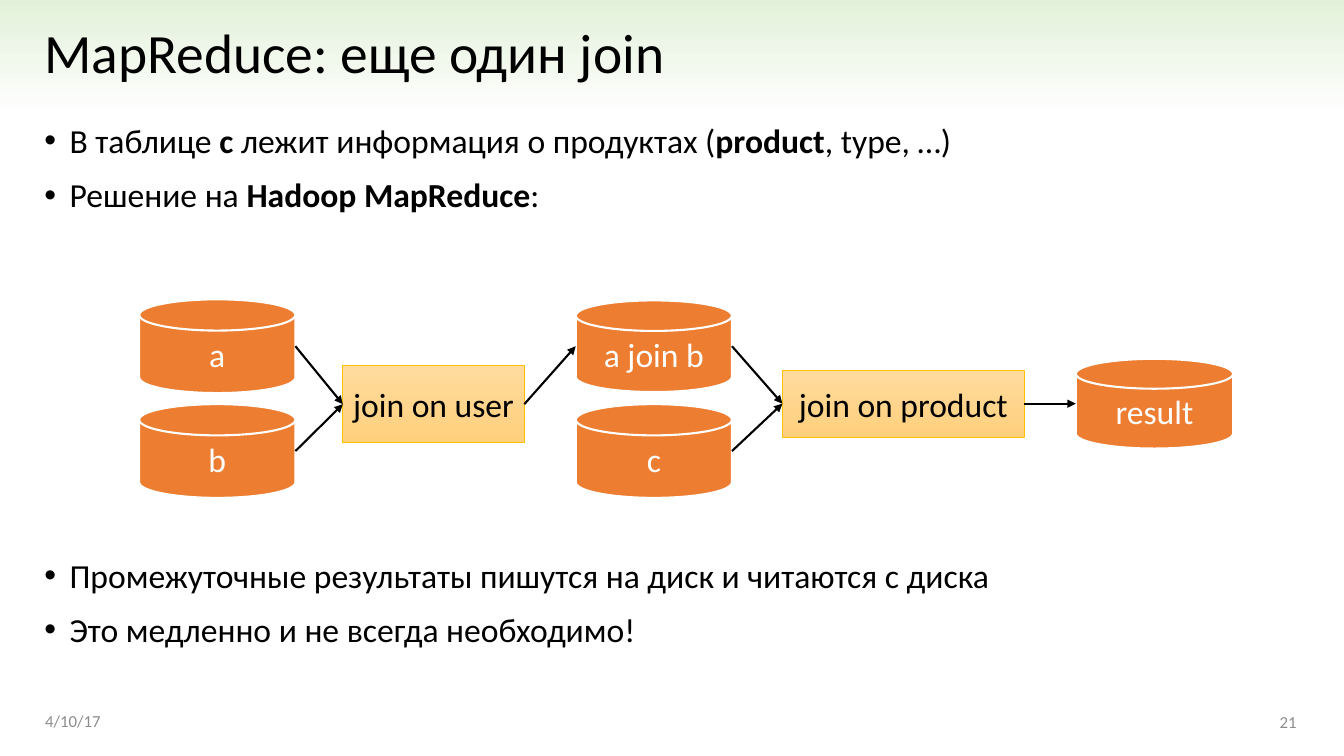
from lxml import etree
from pptx import Presentation
from pptx import util as u
from pptx.dml.color import RGBColor
from pptx.enum import shapes, text
from pptx.oxml import ns

Inches, Pt = u.Inches, u.Pt
color = RGBColor.from_string


def style_shape(shape, stops, line_color=None, line_width=0):
    """Fill with one colour or a downward two-colour gradient; outline if a colour is given."""
    shape.shadow.inherit = False
    if len(stops) == 1:
        shape.fill.solid()
        shape.fill.fore_color.rgb = color(stops[0])
    else:
        shape.fill.gradient()
        shape.fill.gradient_angle = 270
        for stop, value in zip(shape.fill.gradient_stops, stops):
            stop.color.rgb = color(value)
    if line_color:
        shape.line.color.rgb = color(line_color)
        shape.line.width = Pt(line_width)
    else:
        shape.line.fill.background()


def set_font(paragraph, size, value, alignment):
    paragraph.alignment = alignment
    paragraph.font.name = "Calibri"
    paragraph.font.size = Pt(size)
    paragraph.font.color.rgb = color(value)


LEFT, CENTER, RIGHT = text.PP_ALIGN.LEFT, text.PP_ALIGN.CENTER, text.PP_ALIGN.RIGHT
presentation = Presentation()
presentation.slide_width, presentation.slide_height = Inches(13.33), Inches(7.5)
slide = presentation.slides.add_slide(presentation.slide_layouts[1])
title, body = slide.shapes.title, slide.placeholders[1]

# Header band, behind the title
header = slide.shapes.add_shape(shapes.MSO_SHAPE.RECTANGLE, 0, 0, Inches(13.33), Inches(1.14))
style_shape(header, ["E2F0D9", "FFFFFF"])
title.element.addprevious(header.element)

# Title and bullets
for placeholder, top, height in [(title, 0.19, 0.72), (body, 1.14, 5.63)]:
    placeholder.left, placeholder.top = Inches(0.34), Inches(top)
    placeholder.width, placeholder.height = Inches(12.61), Inches(height)
    placeholder.text_frame.auto_size = text.MSO_AUTO_SIZE.NONE

title.text_frame.text = "MapReduce: еще один join"
title.text_frame.vertical_anchor = text.MSO_ANCHOR.MIDDLE
title_paragraph = title.text_frame.paragraphs[0]
title_paragraph.line_spacing = 0.9
set_font(title_paragraph, 39.6, "000000", LEFT)

# Space before each bullet, then its runs, alternating regular and bold
bullets = [
    (0, ["В таблице ", "c ", "лежит информация о продуктах (", "product", ", type, …)"]),
    (10, ["Решение на ", "Hadoop MapReduce", ":"]),
    (243, ["Промежуточные результаты пишутся на диск и читаются с диска"]),
    (10, ["Это медленно и не всегда необходимо!"]),
]
for number, (space, runs) in enumerate(bullets):
    paragraph = body.text_frame.paragraphs[0] if number == 0 else body.text_frame.add_paragraph()
    properties = paragraph._p.get_or_add_pPr()
    properties.set("marL", str(Inches(0.25)))
    properties.set("indent", str(-Inches(0.25)))
    etree.SubElement(properties, ns.qn("a:buChar")).set("char", "•")
    paragraph.space_before = Pt(space)
    set_font(paragraph, 24, "000000", LEFT)
    for position, words in enumerate(runs):
        run = paragraph.add_run()
        run.text = words
        if position % 2:
            run.font.bold = True

# Data flow: tables and joins
DISK, BOX = shapes.MSO_SHAPE.FLOWCHART_MAGNETIC_DISK, shapes.MSO_SHAPE.RECTANGLE
nodes = [
    ("a", DISK, 1.38, 2.97, 1.55, 0.93),
    ("b", DISK, 1.38, 4.01, 1.55, 0.93),
    ("join on user", BOX, 3.4, 3.63, 1.8, 0.76),
    ("a join b", DISK, 5.71, 2.98, 1.55, 0.91),
    ("c", DISK, 5.71, 4.01, 1.55, 0.93),
    ("join on product", BOX, 7.76, 3.67, 2.4, 0.67),
    ("result", DISK, 10.67, 3.56, 1.56, 0.89),
]
flow = {}
for label, kind, *bounds in nodes:
    node = slide.shapes.add_shape(kind, *map(Inches, bounds))
    if kind == DISK:
        style_shape(node, ["ED7D31"], "FFFFFF", 1.5)
    else:
        style_shape(node, ["FFDB9E", "FFD07C"], "FFC000", 0.5)
    node.text_frame.text = label
    node.text_frame.word_wrap = False
    node.text_frame.vertical_anchor = text.MSO_ANCHOR.MIDDLE
    set_font(node.text_frame.paragraphs[0], 24, "FFFFFF" if kind == DISK else "000000", CENTER)
    flow[label] = node

arrows = [
    ("a", "join on user"), ("b", "join on user"), ("join on user", "a join b"),
    ("a join b", "join on product"), ("c", "join on product"), ("join on product", "result"),
]
for source, target in arrows:
    start, end = flow[source], flow[target]
    arrow = slide.shapes.add_connector(
        shapes.MSO_CONNECTOR.STRAIGHT,
        start.left + start.width, start.top + start.height // 2,
        end.left, end.top + end.height // 2)
    if start.auto_shape_type == BOX:
        arrow.begin_connect(start, 3)
    if end.auto_shape_type == BOX:
        arrow.end_connect(end, 1)
    arrow.line.color.rgb = color("000000")
    arrow.line.width = Pt(1.5)
    etree.SubElement(arrow.line._get_or_add_ln(), ns.qn("a:tailEnd")).set("type", "triangle")
    etree.SubElement(arrow._element.spPr, ns.qn("a:effectLst"))

# Footer
for label, left, top, alignment in [("4/10/17", 0.35, 6.95, LEFT), ("21", 9.96, 6.96, RIGHT)]:
    footer = slide.shapes.add_textbox(Inches(left), Inches(top), Inches(3), Inches(0.4))
    footer.text_frame.text = label
    footer.text_frame.word_wrap = True
    footer.text_frame.vertical_anchor = text.MSO_ANCHOR.MIDDLE
    set_font(footer.text_frame.paragraphs[0], 12, "8C8C8C", alignment)

presentation.save("out.pptx")
